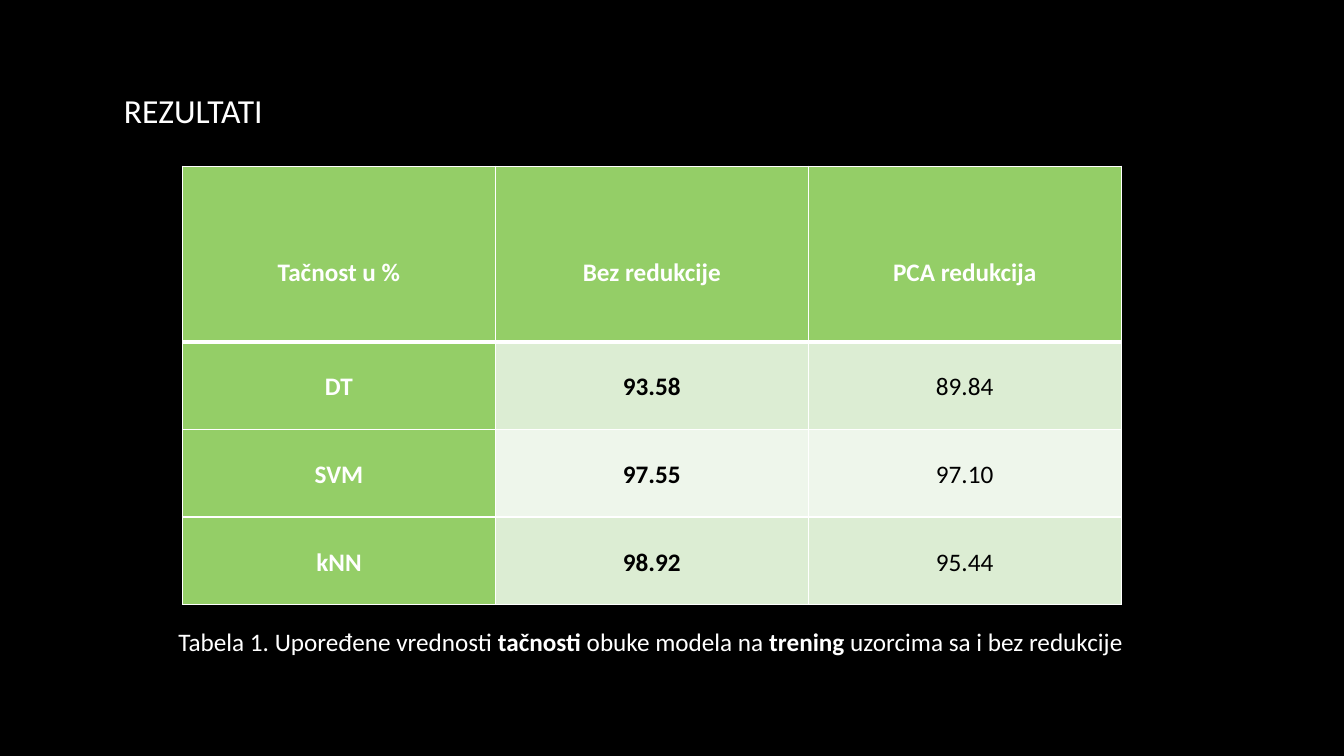
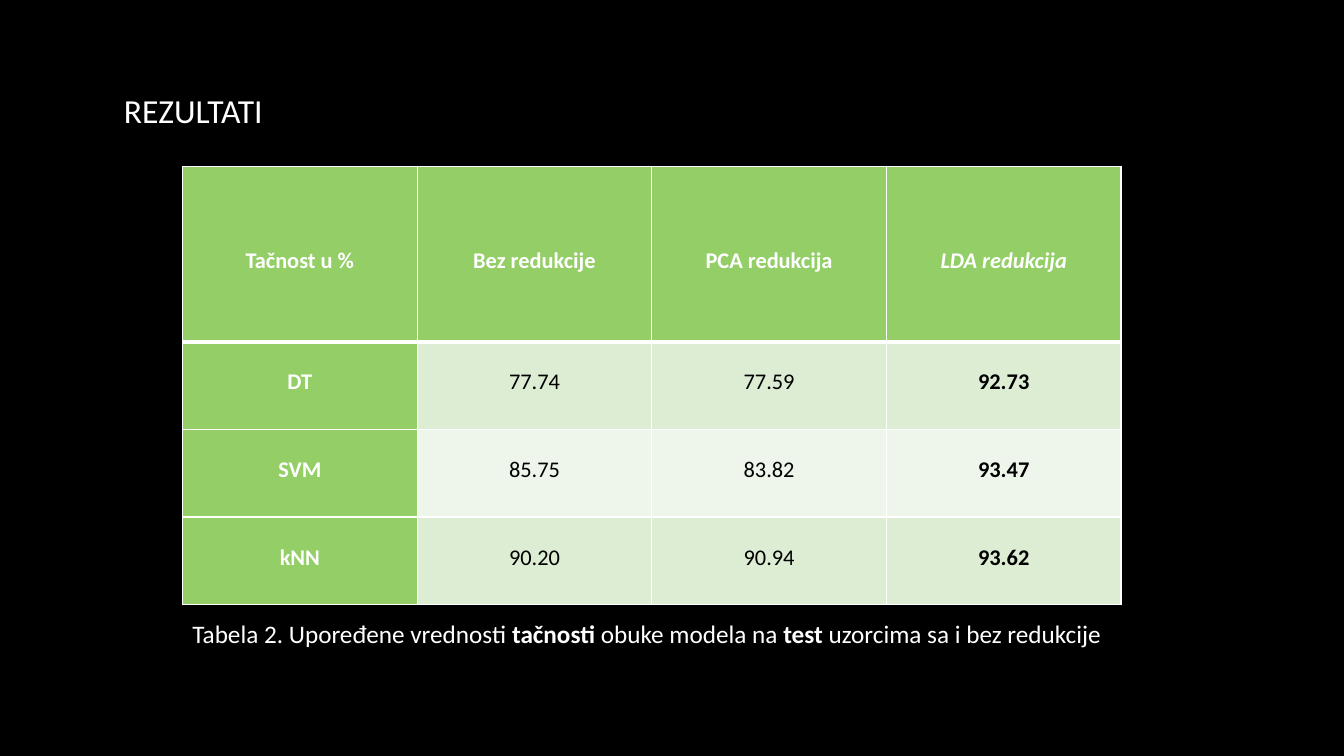
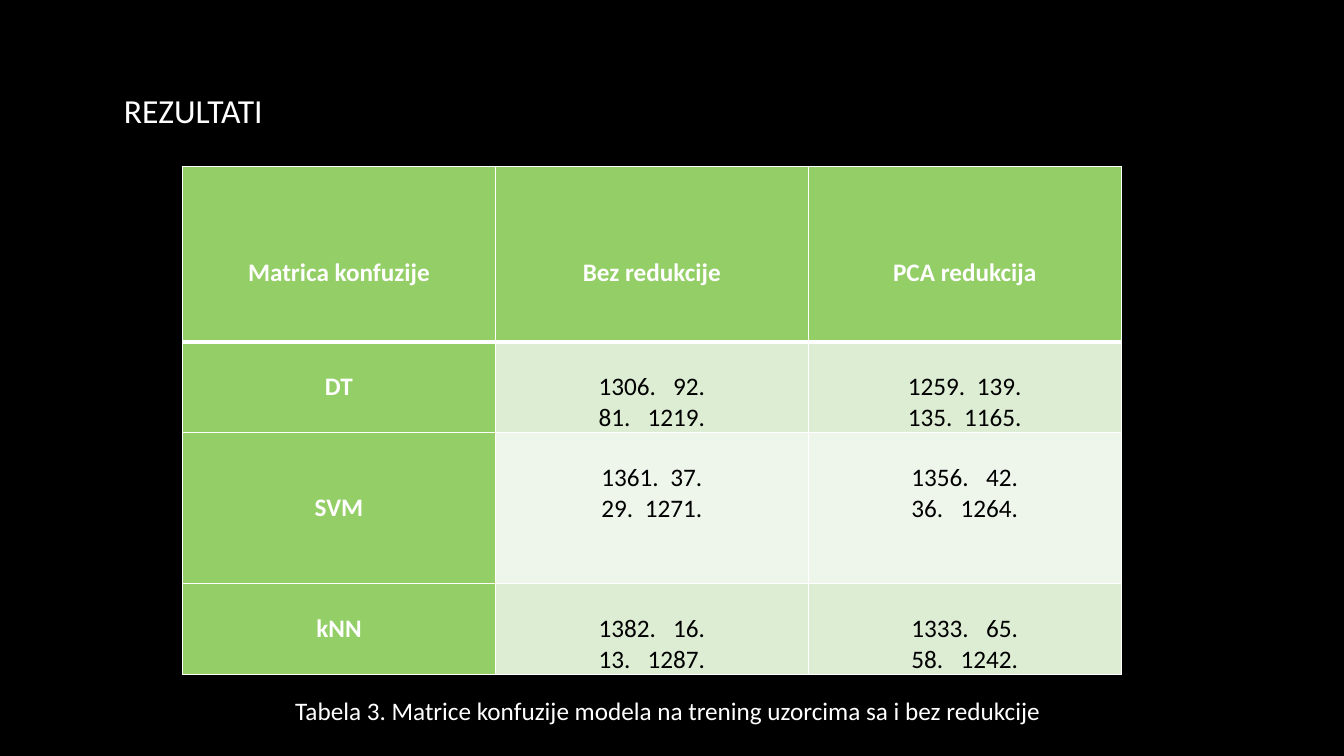
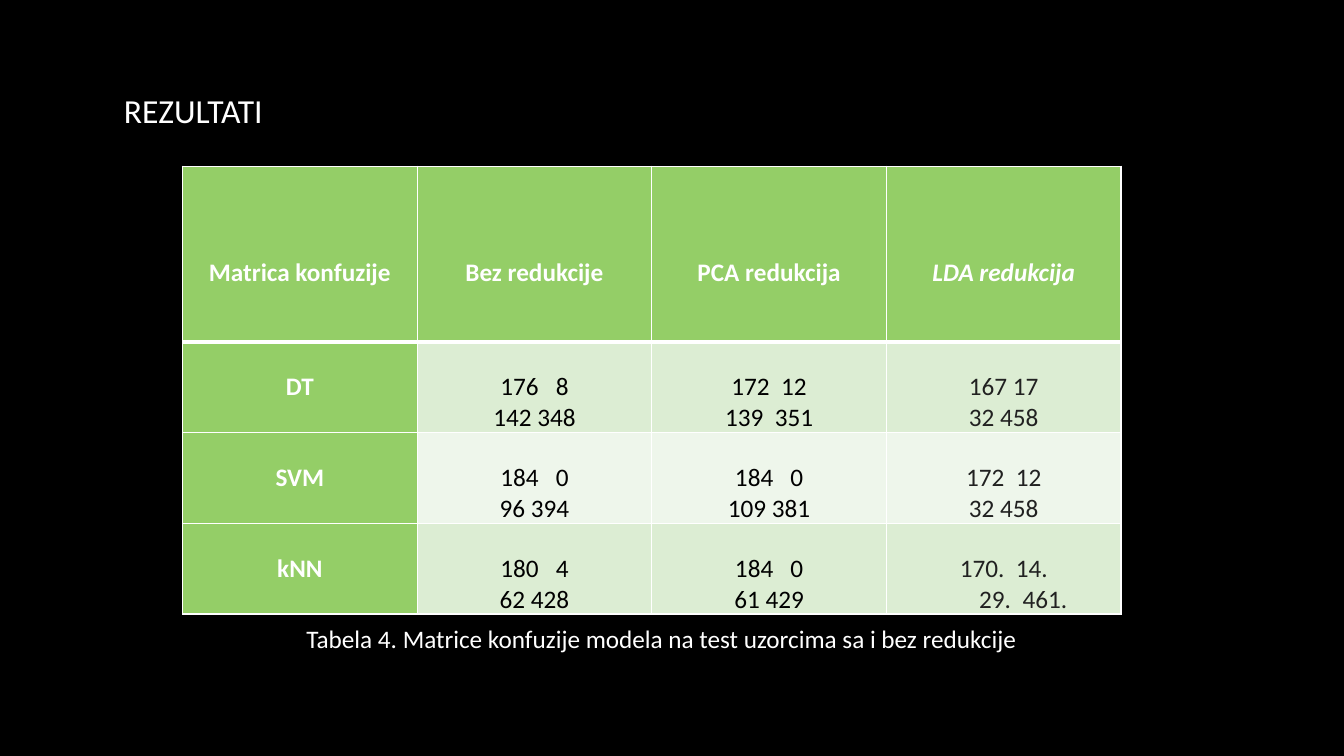
from dataclasses import dataclass

from lxml.etree import SubElement
from pptx import Presentation
from pptx.dml.color import RGBColor
from pptx.enum.text import MSO_AUTO_SIZE as AutoSize, PP_ALIGN as Align
from pptx.oxml.ns import qn
from pptx.util import Emu, Inches, Pt

# Shared style
FONT = "Calibri"
BLACK, WHITE, DARK_GREY = "000000", "FFFFFF", "212121"
GREEN = "94CE67"
BANDS = ("DCEDD3", "EEF6EB")
TITLE = "REZULTATI"
TITLE_SIZE, CAPTION_SIZE = 24, 18
SPACE_SHARE = 0.226  # width of a space, in ems
SIDE_MARGIN = Inches(0.07)

# Shares of the slide, in percent
TABLE_LEFT, TABLE_TOP, TABLE_WIDTH = 13.58, 22, 69.84
HEADER_HEIGHT, LOW_ROW, MATRIX_ROW, TALL_ROW = 23.2, 11.6, 12, 20

deck = Presentation()
deck.slide_width, deck.slide_height = Inches(13.33), Inches(7.5)


@dataclass(frozen=True)
class Box:
    left: float
    top: float
    width: float
    height: float = 5.33


@dataclass(frozen=True)
class Line:
    """Words parted by a gap counted in spaces."""
    words: tuple[str, ...]
    gap: int = 1
    indent: float = 0  # inches; an indented line is left aligned


@dataclass(frozen=True)
class Row:
    label: str
    cells: tuple[tuple[Line, ...], ...]
    height: float = LOW_ROW
    label_drop: int = 1  # text lines above the label


@dataclass(frozen=True)
class Result:
    heads: tuple[str, ...]
    rows: tuple[Row, ...]
    caption: str  # words between asterisks are bold
    caption_box: Box
    size: int = 18
    bold_column: int = 0
    grey_column: int = 0


TITLE_BOX = Box(8.48, 11.2, 70.6, 6.67)


def colour(value: str) -> RGBColor:
    return RGBColor.from_string(value)


def across(percent: float) -> Emu:
    return Emu(round(deck.slide_width * percent / 100))


def down(percent: float) -> Emu:
    return Emu(round(deck.slide_height * percent / 100))


def style(para, size: int, shade: str, bold: bool = False) -> None:
    font = para.font
    font.name, font.size, font.bold = FONT, Pt(size), bold
    font.color.rgb = colour(shade)


def add_text(page, box: Box, text: str, size: int) -> None:
    frame = page.shapes.add_textbox(
        across(box.left), down(box.top), across(box.width), down(box.height)
    ).text_frame
    frame.word_wrap = True
    frame.auto_size = AutoSize.SHAPE_TO_FIT_TEXT
    para = frame.paragraphs[0]
    style(para, size, WHITE)
    for index, part in enumerate(text.split("*")):
        span = para.add_run()
        span.text = part
        if index % 2:
            span.font.bold = True


def add_line(para, line: Line, size: int) -> None:
    para.alignment = Align.CENTER
    if line.indent:
        para.alignment = Align.LEFT
        para._p.get_or_add_pPr().set("marL", str(Inches(line.indent)))
    for index, word in enumerate(line.words):
        if index:
            space = para.add_run()
            space.text = " "
            spread = round((line.gap - 1) * SPACE_SHARE * size * 100)
            space._r.get_or_add_rPr().set("spc", str(spread))
        para.add_run().text = word


def set_borders(cell, top: int, bottom: int) -> None:
    properties = cell._tc.get_or_add_tcPr()
    widths = {"a:lnL": 1, "a:lnR": 1, "a:lnT": top, "a:lnB": bottom}
    for index, (tag, width) in enumerate(widths.items()):
        edge = SubElement(properties, qn(tag), w=str(Pt(width)))
        fill = SubElement(edge, qn("a:solidFill"))
        SubElement(fill, qn("a:srgbClr"), val=WHITE)
        properties.insert(index, edge)


def fill_cell(cell, lines: tuple[Line, ...], size: int, shade: str, bold: bool,
              back: str, drop: int) -> None:
    cell.fill.solid()
    cell.fill.fore_color.rgb = colour(back)
    cell.margin_left = cell.margin_right = SIDE_MARGIN
    cell.margin_top = Inches(drop * size / 60)
    cell.margin_bottom = 0
    frame = cell.text_frame
    for index, line in enumerate(lines):
        para = frame.add_paragraph() if index else frame.paragraphs[0]
        style(para, size, shade, bold)
        add_line(para, line, size)


def add_result_table(page, result: Result) -> None:
    heights = [HEADER_HEIGHT, *(row.height for row in result.rows)]
    table = page.shapes.add_table(
        len(heights), len(result.heads), across(TABLE_LEFT), down(TABLE_TOP),
        across(TABLE_WIDTH), down(sum(heights))
    ).table
    table.first_row = table.horz_banding = False
    for table_row, height in zip(table.rows, heights):
        table_row.height = down(height)

    # Header row
    for column, head in enumerate(result.heads):
        cell = table.cell(0, column)
        fill_cell(cell, (Line((head,)),), result.size, WHITE, True, GREEN, 3)
        cell.text_frame.paragraphs[0].font.italic = head.startswith("LDA")
        set_borders(cell, 1, 3)

    # Label column and values
    for number, row in enumerate(result.rows, 1):
        label = (Line((row.label,)),)
        fill_cell(table.cell(number, 0), label, result.size, WHITE, True, GREEN,
                  row.label_drop)
        for column, lines in enumerate(row.cells, 1):
            shade = DARK_GREY if column == result.grey_column else BLACK
            fill_cell(table.cell(number, column), lines, result.size, shade,
                      column == result.bold_column, BANDS[(number - 1) % 2], 1)
        for column in range(len(result.heads)):
            set_borders(table.cell(number, column), 3 if number == 1 else 1, 1)


def add_page(result: Result) -> None:
    page = deck.slides.add_slide(deck.slide_layouts[6])
    page.background.fill.solid()
    page.background.fill.fore_color.rgb = colour(BLACK)
    add_text(page, TITLE_BOX, TITLE, TITLE_SIZE)
    add_result_table(page, result)
    add_text(page, result.caption_box, result.caption, CAPTION_SIZE)


def scores(label: str, *values: str) -> Row:
    return Row(label, tuple((Line((value,)),) for value in values))


def pair(left: str, right: str, gap: int = 1, indent: float = 0) -> Line:
    return Line((left, right), gap, indent)


# Content
REDUCTIONS = ("Bez redukcije", "PCA redukcija")
ALL_REDUCTIONS = (*REDUCTIONS, "LDA redukcija")

RESULTS = (
    Result(
        ("Tačnost u %", *REDUCTIONS),
        (scores("DT", "93.58", "89.84"),
         scores("SVM", "97.55", "97.10"),
         scores("kNN", "98.92", "95.44")),
        "Tabela 1. Upoređene vrednosti *tačnosti* obuke modela na *trening* "
        "uzorcima sa i bez redukcije",
        Box(12.53, 82.13, 72.54), bold_column=1,
    ),
    Result(
        ("Tačnost u %", *ALL_REDUCTIONS),
        (scores("DT", "77.74", "77.59", "92.73"),
         scores("SVM", "85.75", "83.82", "93.47"),
         scores("kNN", "90.20", "90.94", "93.62")),
        "Tabela 2. Upoređene vrednosti *tačnosti* obuke modela na *test* "
        "uzorcima sa i bez redukcije",
        Box(13.58, 81.07, 73.14, 9.47), size=16, bold_column=3,
    ),
    Result(
        ("Matrica konfuzije", *REDUCTIONS),
        (Row("DT", ((pair("1306.", "92.", 3), pair("81.", "1219.", 3)),
                    (pair("1259.", "139.", 2), pair("135.", "1165.", 2))),
             MATRIX_ROW),
         Row("SVM", ((pair("1361.", "37.", 2), pair("29.", "1271.", 2)),
                     (pair("1356.", "42.", 3), pair("36.", "1264.", 3))),
             TALL_ROW, label_drop=2),
         Row("kNN", ((pair("1382.", "16.", 3), pair("13.", "1287.", 3)),
                     (pair("1333.", "65.", 3), pair("58.", "1242.", 3))),
             MATRIX_ROW)),
        "Tabela 3. Matrice konfuzije modela na trening uzorcima sa i bez redukcije",
        Box(21.23, 91.33, 57.61),
    ),
    Result(
        ("Matrica konfuzije", *ALL_REDUCTIONS),
        (Row("DT", ((pair("176", "8", 3), pair("142", "348")),
                    (pair("172", "12", 2), pair("139", "351", 2)),
                    (pair("167", "17"), pair("32", "458"))),
             MATRIX_ROW),
         Row("SVM", ((pair("184", "0", 3), pair("96", "394")),
                     (pair("184", "0", 3), pair("109", "381")),
                     (pair("172", "12", 2), pair("32", "458"))),
             MATRIX_ROW),
         Row("kNN", ((pair("180", "4", 3), pair("62", "428")),
                     (pair("184", "0", 3), pair("61", "429")),
                     (pair("170.", "14.", 2), pair("29.", "461.", 2, 0.85))),
             MATRIX_ROW)),
        "Tabela 4. Matrice konfuzije modela na test uzorcima sa i bez redukcije",
        Box(22.05, 81.73, 54.99), grey_column=3,
    ),
)

for result in RESULTS:
    add_page(result)

deck.save("out.pptx")
